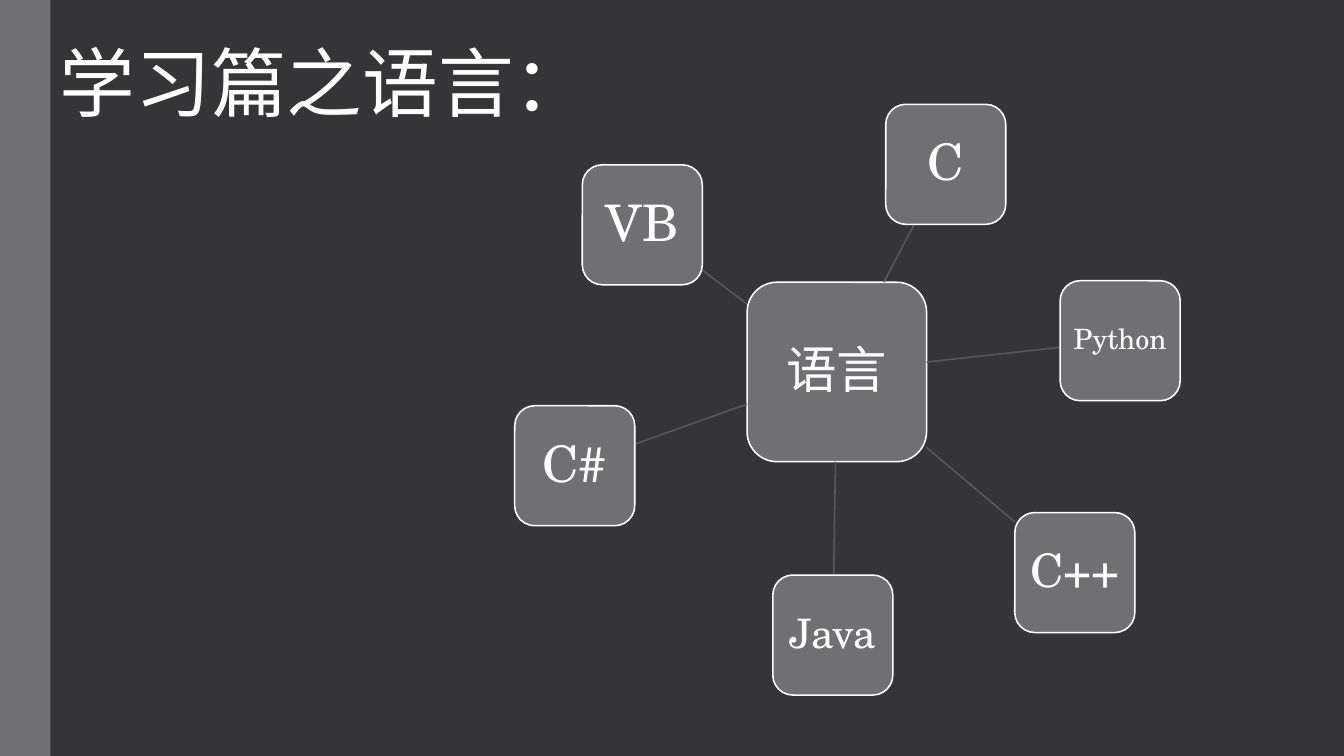
from pptx import Presentation
from pptx.dml.color import RGBColor
from pptx.enum.shapes import MSO_CONNECTOR as Connector, MSO_SHAPE as Shape
from pptx.enum.text import MSO_ANCHOR as Anchor, MSO_AUTO_SIZE as AutoSize, PP_ALIGN as Align
from pptx.oxml.ns import qn
from pptx.util import Inches, Pt
from lxml import etree

HUB_CENTER, HUB_SIZE, NODE_SIZE = (8.3, 3.69), 1.78, 1.19

# label, centre x, centre y, text size, text inset
LANGUAGES = [
    ("C", 9.38, 1.63, 36, 0.1),
    ("Python", 11.11, 3.38, 20, 0.06),
    ("C++", 10.66, 5.68, 33, 0.09),
    ("Java", 8.26, 6.3, 29, 0.08),
    ("C#", 5.7, 4.62, 36, 0.1),
    ("VB", 6.37, 2.23, 36, 0.1),
]


def color(value):
    return RGBColor.from_string(value)


def apply_format(target, values):
    for name, value in values.items():
        setattr(target, name, value)


def edge_point(center, toward, size):
    """Return where the ray from center to toward leaves a square of the given size."""
    dx, dy = toward[0] - center[0], toward[1] - center[1]
    scale = size / 2 / max(abs(dx), abs(dy))
    return center[0] + dx * scale, center[1] + dy * scale


class MindMapSlide:
    font = "TeX Gyre Schola"
    background, box, spoke_line, white = "353537", "6F6F74", "59595D", "FFFFFF"
    line_width = 1.1

    def __init__(self, presentation):
        self.slide = presentation.slides.add_slide(presentation.slide_layouts[5])
        fill = self.slide.background.fill
        fill.solid()
        fill.fore_color.rgb = color(self.background)

    def set_text(self, frame, text, size, frame_format, paragraph_format):
        apply_format(frame, frame_format)
        paragraph = frame.paragraphs[0]
        apply_format(paragraph, {"alignment": Align.CENTER, **paragraph_format})
        run = paragraph.add_run()
        run.text = text
        apply_format(run.font, {"name": self.font, "size": Pt(size), "bold": False})
        run.font.color.rgb = color(self.white)

    def title(self, text, left, top, width, height):
        shape = self.slide.shapes.title
        apply_format(shape, {"left": Inches(left), "top": Inches(top),
                             "width": Inches(width), "height": Inches(height)})
        self.set_text(shape.text_frame, text, 54,
                      {"word_wrap": True, "auto_size": AutoSize.SHAPE_TO_FIT_TEXT,
                       "vertical_anchor": Anchor.TOP}, {})

    def block(self, kind, left, top, width, height):
        shape = self.slide.shapes.add_shape(
            kind, Inches(left), Inches(top), Inches(width), Inches(height))
        shape.shadow.inherit = False
        shape.fill.solid()
        shape.fill.fore_color.rgb = color(self.box)
        return shape

    def sidebar(self, width, height):
        self.block(Shape.RECTANGLE, 0, 0, width, height).line.fill.background()

    def node(self, text, center, side, size, inset):
        shape = self.block(Shape.ROUNDED_RECTANGLE, center[0] - side / 2,
                           center[1] - side / 2, side, side)
        shape.line.color.rgb = color(self.white)
        shape.line.width = Pt(self.line_width)
        margins = {f"margin_{edge}": Inches(inset)
                   for edge in ("left", "right", "top", "bottom")}
        self.set_text(shape.text_frame, text, size,
                      {"word_wrap": True, "vertical_anchor": Anchor.MIDDLE, **margins},
                      {"line_spacing": 0.9, "space_after": Pt(round(size * 0.35))})

    def spoke(self, start, end):
        connector = self.slide.shapes.add_connector(
            Connector.STRAIGHT, *(Inches(value) for value in (*start, *end)))
        connector.line.color.rgb = color(self.spoke_line)
        connector.line.width = Pt(self.line_width)
        etree.SubElement(connector._element.spPr, qn("a:effectLst"))


def main():
    presentation = Presentation()
    presentation.slide_width, presentation.slide_height = Inches(13.33), Inches(7.5)

    mind_map = MindMapSlide(presentation)
    mind_map.sidebar(0.5, 7.5)
    mind_map.node("语言", HUB_CENTER, HUB_SIZE, 36, 0.1)
    for label, x, y, size, inset in LANGUAGES:
        center = (x, y)
        mind_map.spoke(edge_point(HUB_CENTER, center, HUB_SIZE),
                       edge_point(center, HUB_CENTER, NODE_SIZE))
        mind_map.node(label, center, NODE_SIZE, size, inset)
    mind_map.title("学习篇之语言：", -0.82, 0.31, 8.08, 1.01)

    presentation.save("out.pptx")


if __name__ == "__main__":
    main()
